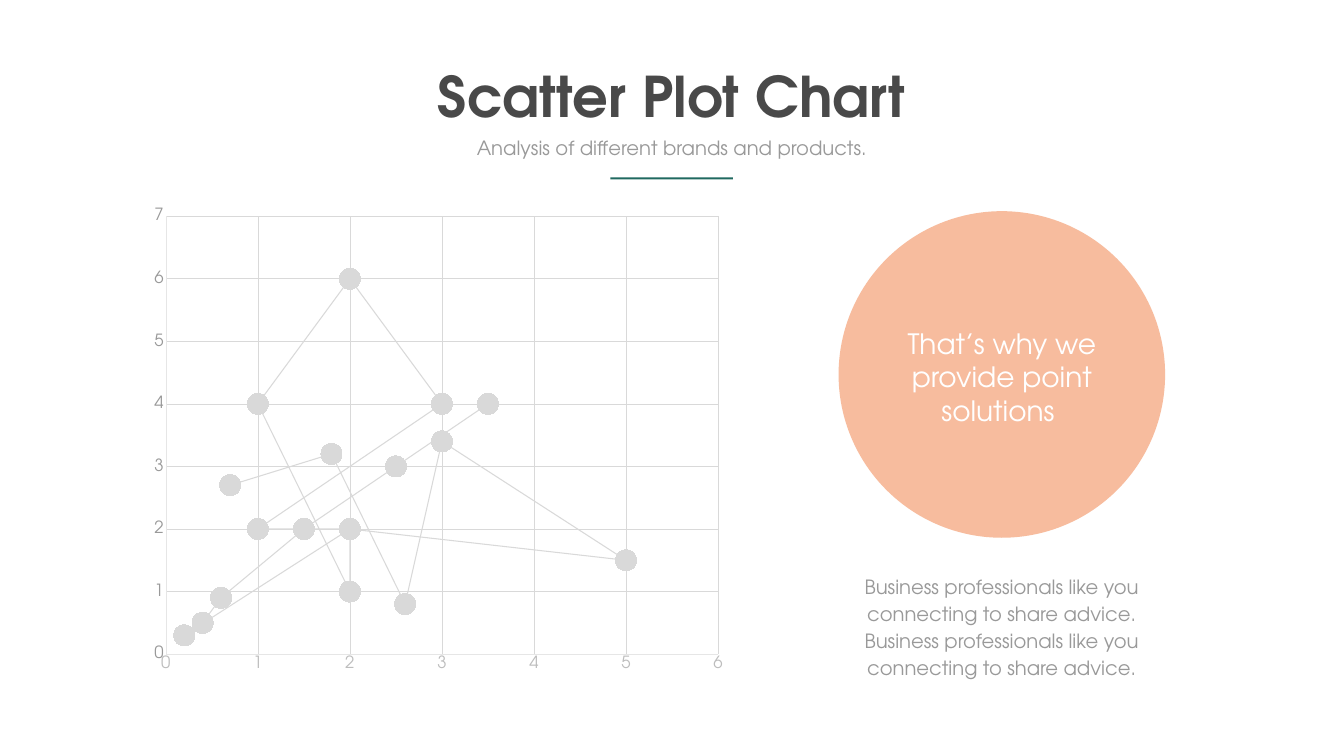
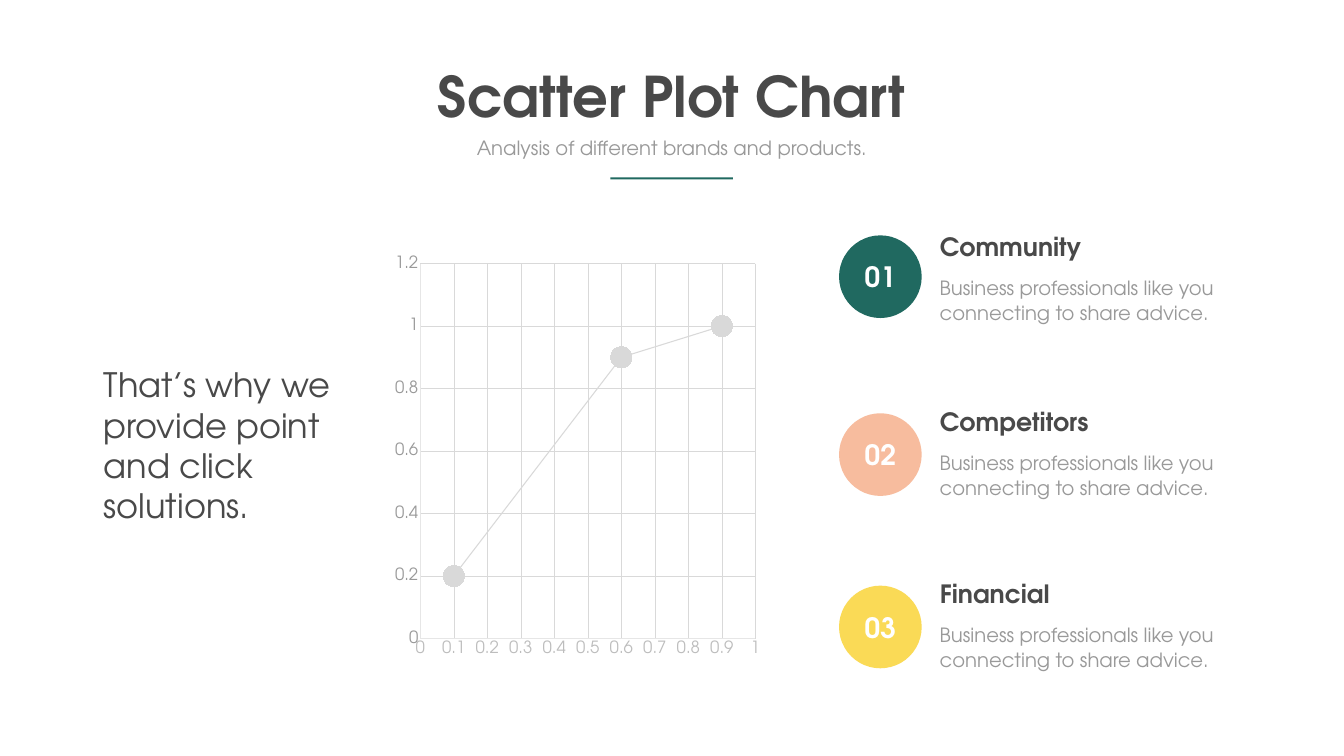
from dataclasses import dataclass

from pptx import Presentation
from pptx.chart.data import XyChartData
from pptx.dml.color import RGBColor
from pptx.enum.chart import XL_CHART_TYPE, XL_MARKER_STYLE, XL_TICK_MARK
from pptx.enum.shapes import MSO_SHAPE
from pptx.enum.text import MSO_ANCHOR, MSO_AUTO_SIZE, PP_ALIGN
from pptx.oxml import parse_xml
from pptx.oxml.ns import nsdecls
from pptx.util import Pt

PX = 9144  # 100 px to the inch


@dataclass(frozen=True)
class Theme:
    font: str = "TeX Gyre Adventor"
    dark: str = "494949"
    grey: str = "999999"
    pale: str = "BDBDBD"
    grid: str = "D9D9D9"
    axis: str = "E6E6E6"
    white: str = "FFFFFF"
    green: str = "206960"
    peach: str = "F7BC9E"
    yellow: str = "FADA56"
    title: int = 80
    quote: int = 48
    large: int = 40
    head: int = 36
    body: int = 28
    label: int = 24


T = Theme()
ADVICE = "Business professionals like you connecting to share advice."


def emu(*box):
    return [round(n * PX) for n in box]


def style(font, size, color, bold=False):
    font.name = T.font
    font.size = Pt(size)
    font.bold = bold
    font.color.rgb = RGBColor.from_string(color)


def write(frame, lines, size, color, bold=False, align=None, pitch=None):
    frame.text = "\n".join(lines)
    for para in frame.paragraphs:
        para.alignment = align
        para.line_spacing = Pt(pitch) if pitch else None
        for run in para.runs:
            style(run.font, size, color, bold)


def label(shapes, box, lines, size, color, wrap=True, **look):
    frame = shapes.add_textbox(*emu(*box)).text_frame
    write(frame, lines, size, color, **look)
    frame.word_wrap = wrap
    frame.auto_size = MSO_AUTO_SIZE.SHAPE_TO_FIT_TEXT


def solid(shapes, kind, box, color):
    shape = shapes.add_shape(kind, *emu(*box))
    shape.shadow.inherit = False
    shape.fill.solid()
    shape.fill.fore_color.rgb = RGBColor.from_string(color)
    shape.line.fill.background()
    return shape


def header(slide, x, y, w):
    """Title, subtitle and rule, centred on one column."""
    mid = PP_ALIGN.CENTER
    label(slide.shapes, (x, y, w, 145), ["Scatter Plot Chart"], T.title,
          T.dark, wrap=False, bold=True, align=mid)
    label(slide.shapes, (x, y + 148, w, 57),
          ["Analysis of different brands and products."], T.body, T.grey,
          align=mid)
    rule = 243
    solid(slide.shapes, MSO_SHAPE.RECTANGLE,
          (x + (w - rule) / 2, y + 235, rule, 4), T.green)


def stroke(line, color, width):
    line.color.rgb = RGBColor.from_string(color)
    line.width = Pt(width)


def scale(axis, top, step, color):
    axis.minimum_scale, axis.maximum_scale = 0, top
    axis.major_unit = step
    axis.major_tick_mark = axis.minor_tick_mark = XL_TICK_MARK.NONE
    axis.has_major_gridlines = True
    stroke(axis.major_gridlines.format.line, T.grid, 0.75)
    stroke(axis.format.line, T.axis, 0.75)
    style(axis.tick_labels.font, T.label, color)
    axis.tick_labels.number_format = "General"
    axis.tick_labels.number_format_is_linked = False


def place(chart, w, h, left, top, right, bottom):
    """Fix the plot area by its margins inside the chart."""
    parts = {"x": left / w, "y": top / h,
             "w": (w - left - right) / w, "h": (h - top - bottom) / h}
    modes = "".join(f'<c:{n}Mode val="edge"/>' for n in "xy")
    sizes = "".join(f'<c:{n} val="{v:.4f}"/>' for n, v in parts.items())
    plot = chart.plots[0]._element.getparent()
    for old in plot.findall("{*}layout"):
        plot.remove(old)
    plot.insert(0, parse_xml(
        f'<c:layout {nsdecls("c")}><c:manualLayout>'
        f'<c:layoutTarget val="inner"/>{modes}{sizes}'
        '</c:manualLayout></c:layout>'))


def scatter(slide, box, points, across, up, inset):
    """Scatter chart; across and up are (maximum, step)."""
    data = XyChartData()
    series = data.add_series("Series 1")
    for x, y in points:
        series.add_data_point(x, y)
    chart = slide.shapes.add_chart(
        XL_CHART_TYPE.XY_SCATTER_LINES, *emu(*box), data).chart
    chart.has_title = chart.has_legend = False
    style(chart.font, T.label, T.grey)
    scale(chart.category_axis, *across, T.pale)
    scale(chart.value_axis, *up, T.grey)
    plot = chart.plots[0]
    plot.vary_by_categories = False
    line = plot.series[0]
    line.smooth = False
    stroke(line.format.line, T.grid, 1.5)
    line.marker.style = XL_MARKER_STYLE.CIRCLE
    line.marker.size = 30
    line.marker.format.fill.solid()
    line.marker.format.fill.fore_color.rgb = RGBColor.from_string(T.green)
    line.marker.format.line.fill.background()
    place(chart, *box[2:], *inset)


def bubble(slide, x, y, size):
    """Large circle with a statement inside."""
    shapes = slide.shapes.add_group_shape().shapes
    solid(shapes, MSO_SHAPE.OVAL, (x, y, size, size), T.peach)
    label(shapes, (x + 75, y + 223, size - 150, 113),
          ["That’s why we provide point solutions "], T.large, T.white,
          align=PP_ALIGN.CENTER)


def item(slide, x, y, drop, num, name, color):
    """Numbered circle, set drop px lower than its heading."""
    disc = solid(slide.shapes, MSO_SHAPE.OVAL, (x, y + drop, 164, 164), color)
    write(disc.text_frame, [num], T.large, T.white, bold=True,
          align=PP_ALIGN.CENTER)
    disc.text_frame.vertical_anchor = MSO_ANCHOR.MIDDLE
    label(slide.shapes, (x + 190, y, 489, 71), [name], T.head, T.dark,
          bold=True)
    label(slide.shapes, (x + 190, y + 84, 616, 113), [ADVICE], T.body, T.grey,
          pitch=36.6)


def start(deck):
    slide = deck.slides.add_slide(deck.slide_layouts[6])
    header(slide, 855, 117, 956)
    return slide


def circle_page(deck):
    slide = start(deck)
    points = [(0.7, 2.7), (1.8, 3.2), (2.6, 0.8), (3, 3.4), (5, 1.5), (2, 2),
              (1, 2), (3, 4), (2, 6), (1, 4), (2, 1), (2, 2), (0.2, 0.3),
              (0.4, 0.5), (0.6, 0.9), (1.5, 2), (2.5, 3), (3.5, 4)]
    scatter(slide, (284, 394, 1174, 958), points, (6, 1), (7, 1),
            (45, 35, 33, 54))
    bubble(slide, 1664, 419, 648)
    label(slide.shapes, (1646, 1128, 683, 224), [ADVICE] * 2, T.body, T.grey,
          align=PP_ALIGN.CENTER, pitch=38.6)


def list_page(deck):
    slide = start(deck)
    label(slide.shapes, (196, 718, 548, 333),
          ["That’s why we provide point and click solutions."],
          T.quote, T.dark)
    scatter(slide, (769, 489, 754, 829), [(0.1, 0.2), (0.6, 0.9), (0.9, 1)],
            (1, 0.1), (1.2, 0.2), (65, 34, 24, 51))
    rows = [(454, 13, "Community", T.green),
            (801, 19, "Competitors", T.peach),
            (1142, 20, "Financial", T.yellow)]
    for n, (y, drop, name, color) in enumerate(rows, 1):
        item(slide, 1665, y, drop, f"{n:02}", name, color)


def main():
    deck = Presentation()
    deck.slide_width, deck.slide_height = emu(2667, 1500)
    circle_page(deck)
    list_page(deck)
    deck.save("out.pptx")


if __name__ == "__main__":
    main()
